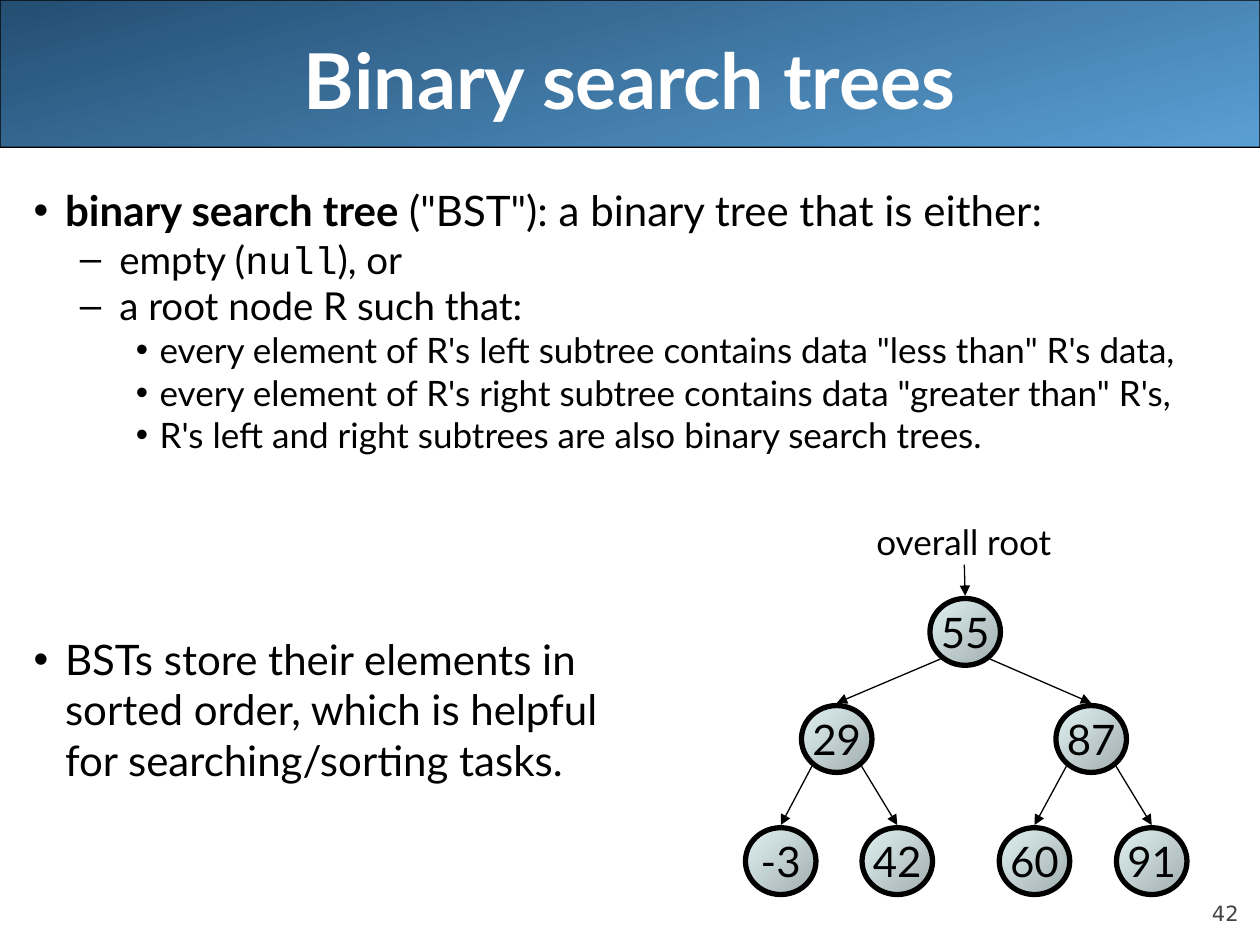
from dataclasses import dataclass

from lxml.etree import SubElement
from pptx import Presentation
from pptx.dml.color import RGBColor
from pptx.enum.shapes import MSO_CONNECTOR, MSO_SHAPE
from pptx.enum.text import MSO_ANCHOR, MSO_AUTO_SIZE, PP_ALIGN
from pptx.oxml.ns import qn
from pptx.util import Pt

COLORS = {
    "text": "000000",
    "title": "FFFFFF",
    "page_number": "424242",
    "header_dark": "244E72",
    "header_light": "5A9FD4",
    "node_dark": "A1ADAE",
    "node_light": "E1F2F3",
}
TEXT_FONT = "Lato"
CODE_FONT = "Courier New"
NODE_WIDTH, NODE_HEIGHT = 40.3, 38.2


@dataclass(frozen=True)
class Level:
    size: float
    margin: float
    indent: float
    space_before: float
    line_spacing: float


@dataclass(frozen=True)
class Span:
    text: str
    bold: bool = False
    font: str = TEXT_FONT


@dataclass(frozen=True)
class Bullet:
    level: int
    spans: tuple[Span, ...]
    extra_space: float = 0


@dataclass(frozen=True)
class Node:
    value: int
    left: float
    top: float
    left_child: "Node | None" = None
    right_child: "Node | None" = None


LEVELS = (
    Level(24, 18, -18, 6, 1),
    Level(22, 49, -22.5, 5.5, 0.8),
    Level(20, 72, -13.5, 5, 0.8),
)

BULLETS = (
    Bullet(0, (Span("binary search tree", bold=True),
               Span(' ("BST"): a binary tree that is either:'))),
    Bullet(1, (Span("empty ("), Span("null", font=CODE_FONT), Span("), or"))),
    Bullet(1, (Span("a root node R such that:"),)),
    Bullet(2, (Span('every element of R\'s left subtree contains data "less than" R\'s data,'),)),
    Bullet(2, (Span('every element of R\'s right subtree contains data "greater than" R\'s,'),)),
    Bullet(2, (Span("R's left and right subtrees are also binary search trees."),)),
    Bullet(0, (Span("BSTs store their elements in\nsorted order, which is helpful\n"
                    "for searching/sorting tasks."),), extra_space=95.7),
)

ROOT = Node(
    55, 531.4, 342,
    Node(29, 458, 403.2, Node(-3, 426, 473), Node(42, 492.6, 473)),
    Node(87, 603.4, 403.2, Node(60, 571, 473), Node(91, 638, 473)),
)


def rgb(name: str) -> RGBColor:
    return RGBColor.from_string(COLORS[name])


def place(shape, left: float, top: float, width: float, height: float) -> None:
    shape.left, shape.top = Pt(left), Pt(top)
    shape.width, shape.height = Pt(width), Pt(height)


def style_run(run, size: float, color: str = "text", font: str = TEXT_FONT,
              bold: bool = False) -> None:
    run.font.size = Pt(size)
    run.font.name = font
    run.font.bold = bold
    run.font.color.rgb = rgb(color)


def write_line(frame, text: str, size: float, align: PP_ALIGN, color: str = "text",
               font: str = TEXT_FONT, bold: bool = False) -> None:
    frame.text = text
    paragraph = frame.paragraphs[0]
    paragraph.alignment = align
    style_run(paragraph.runs[0], size, color, font, bold)


def style_gradient_shape(shape, start: str, end: str, angle: float, line_width: float) -> None:
    shape.shadow.inherit = False
    shape.fill.gradient()
    shape.fill.gradient_angle = angle
    for stop, color in zip(shape.fill.gradient_stops, (start, end)):
        stop.color.rgb = rgb(color)
    shape.line.color.rgb = rgb("text")
    shape.line.width = Pt(line_width)


def add_header(slide) -> None:
    """Add the banner behind the placeholders."""
    header = slide.shapes.add_shape(MSO_SHAPE.ROUNDED_RECTANGLE, 0, 0, Pt(720), Pt(84.2))
    header.adjustments[0] = 0.001
    style_gradient_shape(header, "header_dark", "header_light", 285, 0.75)
    slide.shapes.title._element.addprevious(header._element)


def add_bullet(paragraph, bullet: Bullet) -> None:
    level = LEVELS[bullet.level]
    paragraph.level = bullet.level
    paragraph.space_before = Pt(level.space_before + bullet.extra_space)
    paragraph.line_spacing = level.line_spacing
    properties = paragraph._p.get_or_add_pPr()
    properties.set("marL", str(Pt(level.margin)))
    properties.set("indent", str(Pt(level.indent)))
    for span in bullet.spans:
        for index, line in enumerate(span.text.split("\n")):
            if index:
                paragraph.add_line_break()
                line_break = paragraph._p.findall(qn("a:br"))[-1]
                SubElement(line_break, qn("a:rPr"), sz=str(level.size * 100))
            run = paragraph.add_run()
            run.text = line
            style_run(run, level.size, font=span.font, bold=span.bold)


def add_arrow(shapes, start: tuple[float, float], end: tuple[float, float]) -> None:
    arrow = shapes.add_connector(MSO_CONNECTOR.STRAIGHT, *map(Pt, start + end))
    arrow.line.color.rgb = rgb("text")
    arrow.line.width = Pt(0.75)
    SubElement(arrow.line._get_or_add_ln(), qn("a:tailEnd"), type="triangle")
    SubElement(arrow._element.spPr, qn("a:effectLst"))


def add_tree(shapes, node: Node) -> None:
    """Draw a node, its subtrees and the arrows to them."""
    circle = shapes.add_shape(MSO_SHAPE.OVAL, Pt(node.left), Pt(node.top),
                              Pt(NODE_WIDTH), Pt(NODE_HEIGHT))
    style_gradient_shape(circle, "node_dark", "node_light", 135, 3)
    circle.text_frame.word_wrap = False
    circle.text_frame.vertical_anchor = MSO_ANCHOR.MIDDLE
    write_line(circle.text_frame, str(node.value), 24, PP_ALIGN.CENTER)
    for child, offset in ((node.left_child, 6), (node.right_child, NODE_WIDTH - 6)):
        if child:
            add_tree(shapes, child)
            add_arrow(shapes, (node.left + offset, node.top + 34.6),
                      (child.left + NODE_WIDTH / 2, child.top - 1.5))


def main() -> None:
    presentation = Presentation()
    presentation.slide_width, presentation.slide_height = Pt(720), Pt(540)
    slide = presentation.slides.add_slide(presentation.slide_layouts[1])
    add_header(slide)

    title = slide.shapes.title
    place(title, 36, 0, 648, 90)
    title.text_frame.vertical_anchor = MSO_ANCHOR.MIDDLE
    title.text_frame.auto_size = MSO_AUTO_SIZE.NONE
    write_line(title.text_frame, "Binary search trees", 44, PP_ALIGN.CENTER, "title", bold=True)

    body = slide.placeholders[1]
    place(body, 12, 102, 708, 408)
    body.text_frame.auto_size = MSO_AUTO_SIZE.NONE
    for index, bullet in enumerate(BULLETS):
        add_bullet(body.text_frame.add_paragraph() if index else body.text_frame.paragraphs[0],
                   bullet)

    tree = slide.shapes.add_group_shape().shapes
    add_tree(tree, ROOT)
    root_label = tree.add_textbox(Pt(489.6), Pt(293.8), Pt(122.4), Pt(31.5))
    root_label.text_frame.word_wrap = False
    write_line(root_label.text_frame, "overall root", 20, PP_ALIGN.CENTER)
    root_center = ROOT.left + NODE_WIDTH / 2
    add_arrow(tree, (root_center - 0.5, 322.6), (root_center, ROOT.top - 1.5))

    page_number = slide.shapes.add_textbox(Pt(648), Pt(500.4), Pt(59.8), Pt(28.8)).text_frame
    page_number.margin_left = page_number.margin_right = 0
    page_number.margin_top = page_number.margin_bottom = 0
    page_number.word_wrap = True
    page_number.vertical_anchor = MSO_ANCHOR.BOTTOM
    write_line(page_number, "42", 12, PP_ALIGN.RIGHT, "page_number", "DejaVu Sans")

    presentation.save("out.pptx")


if __name__ == "__main__":
    main()
